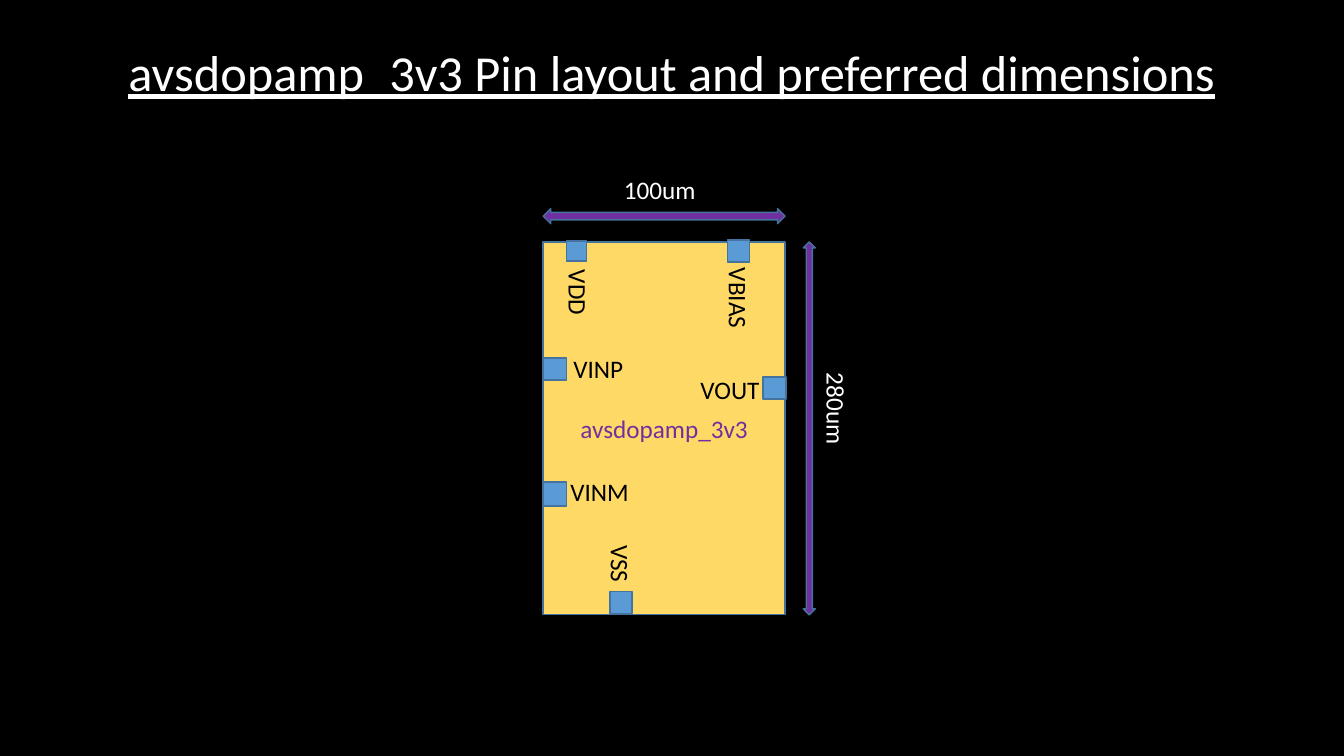
from pptx import Presentation
from pptx.dml.color import RGBColor
from pptx.enum import shapes, text
from pptx.util import Pt

THEME = {
    "font": "Calibri", "title_size": 36, "label_size": 18, "line_width": 1,
    "background": "000000", "light": "FFFFFF", "dark": "000000",
    "chip": "FFD966", "pin": "5B9BD5", "outline": "43739E", "accent": "7030A0",
}
MACRO = "avsdopamp_3v3"
CHIP_LEFT, CHIP_TOP, CHIP_WIDTH, CHIP_HEIGHT = 388, 172.8, 172.8, 266.4
LABEL_HEIGHT = 28.8

deck = Presentation()
deck.slide_width, deck.slide_height = Pt(960), Pt(540)
slide = deck.slides.add_slide(deck.slide_layouts[6])
slide.background.fill.solid()
slide.background.fill.fore_color.rgb = RGBColor.from_string(THEME["background"])


def add_block(kind, box, color):
    """Add a filled, outlined preset shape; box is left, top, width, height."""
    block = slide.shapes.add_shape(kind, *map(Pt, box))
    block.shadow.inherit = False
    block.fill.solid()
    block.fill.fore_color.rgb = RGBColor.from_string(THEME[color])
    block.line.color.rgb = RGBColor.from_string(THEME["outline"])
    block.line.width = Pt(THEME["line_width"])
    return block


def write(holder, wording, color, size="label_size", centred=False, **frame_format):
    """Write one styled line of text into a shape or text box."""
    frame = holder.text_frame
    for name, value in frame_format.items():
        setattr(frame, name, value)
    line = frame.paragraphs[0]
    line.alignment = text.PP_ALIGN.CENTER if centred else text.PP_ALIGN.LEFT
    run = line.add_run()
    run.text = wording
    run.font.name, run.font.size = THEME["font"], Pt(THEME[size])
    run.font.color.rgb = RGBColor.from_string(THEME[color])
    return line


title = slide.shapes.add_textbox(Pt(66), Pt(28.8), Pt(828), Pt(49.7))
heading = write(title, f"{MACRO} Pin layout and preferred dimensions", "light",
                "title_size", centred=True, word_wrap=True,
                vertical_anchor=text.MSO_ANCHOR.MIDDLE)
heading.line_spacing = 0.9
heading.runs[0].font.underline = True

preset = shapes.MSO_SHAPE
chip = add_block(preset.RECTANGLE, (CHIP_LEFT, CHIP_TOP, CHIP_WIDTH, CHIP_HEIGHT), "chip")
write(chip, MACRO, "accent", centred=True, vertical_anchor=text.MSO_ANCHOR.MIDDLE)

pins = [
    (404.6, 172.1, 14.4, 14.4),           # VDD
    (519.8, 171.4, 15.8, 15.8),           # VBIAS
    (435.6, 422.6, 15.8, 15.8),           # VSS
    (CHIP_LEFT, 255.6, 16.6, 15.8),       # VINP
    (CHIP_LEFT, 344.2, 16.6, 17.3),       # VINM
    (545, 269.3, 16.6, 15.8),             # VOUT
]
for pin in pins:
    add_block(preset.RECTANGLE, pin, "pin")

add_block(preset.LEFT_RIGHT_ARROW, (CHIP_LEFT, 149, CHIP_WIDTH, 10.8), "accent")
add_block(preset.UP_DOWN_ARROW, (573.8, CHIP_TOP, 8.6, CHIP_HEIGHT), "accent")

labels = [  # wording, left, top, width, rotation, color
    ("VDD", 389.5, 195.1, 47.5, 90, "dark"),
    ("VBIAS", 496.1, 201.6, 63.4, 90, "dark"),
    ("VINP", 402.5, 249.1, 50.4, 0, "dark"),
    ("VINM", 400.3, 337, 56.9, 0, "dark"),
    ("VSS", 422.6, 388.8, 41.8, 90, "dark"),
    ("VOUT", 493.2, 263.5, 56.9, 0, "dark"),
    ("100um", 438.5, 121, 66.2, 0, "light"),
    ("280um", 564.5, 277.9, 66.2, 90, "light"),
]
for wording, left, top, width, rotation, color in labels:
    label = slide.shapes.add_textbox(Pt(left), Pt(top), Pt(width), Pt(LABEL_HEIGHT))
    label.rotation = rotation
    write(label, wording, color, word_wrap=False,
          auto_size=text.MSO_AUTO_SIZE.SHAPE_TO_FIT_TEXT)

deck.save("out.pptx")
